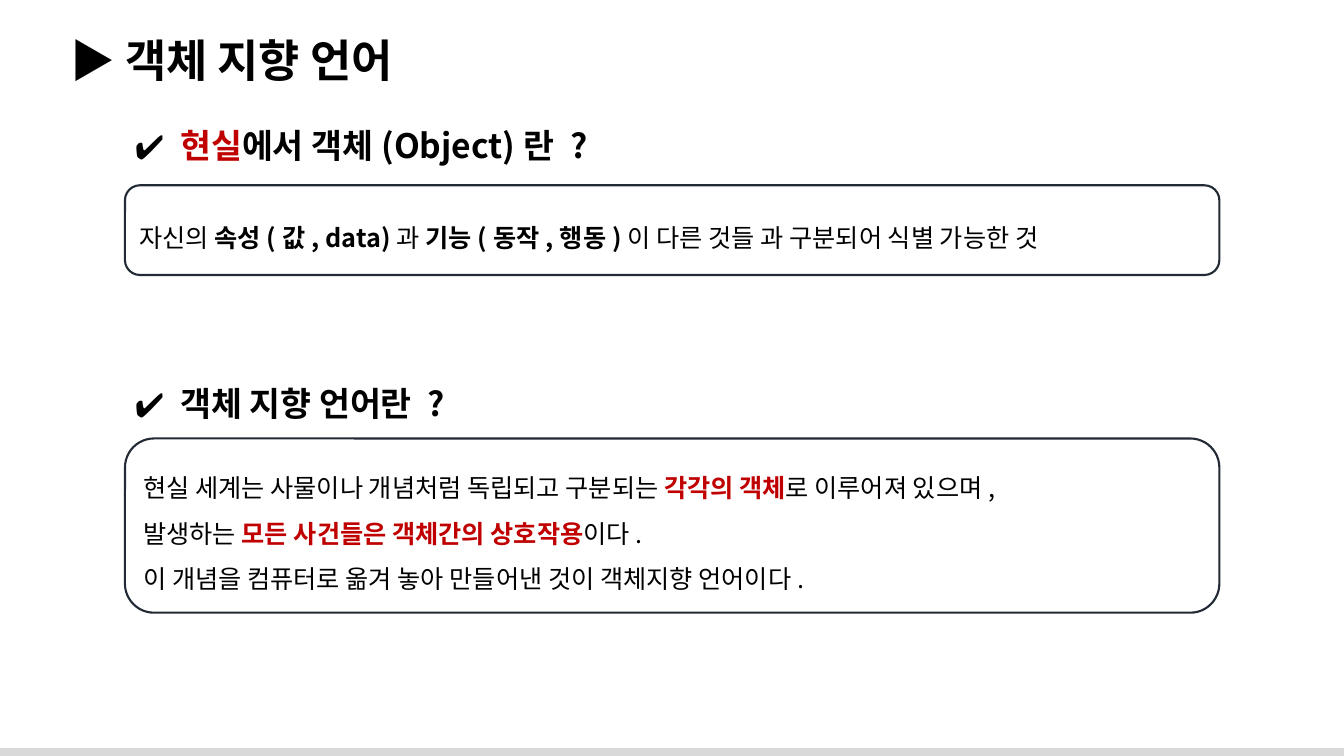
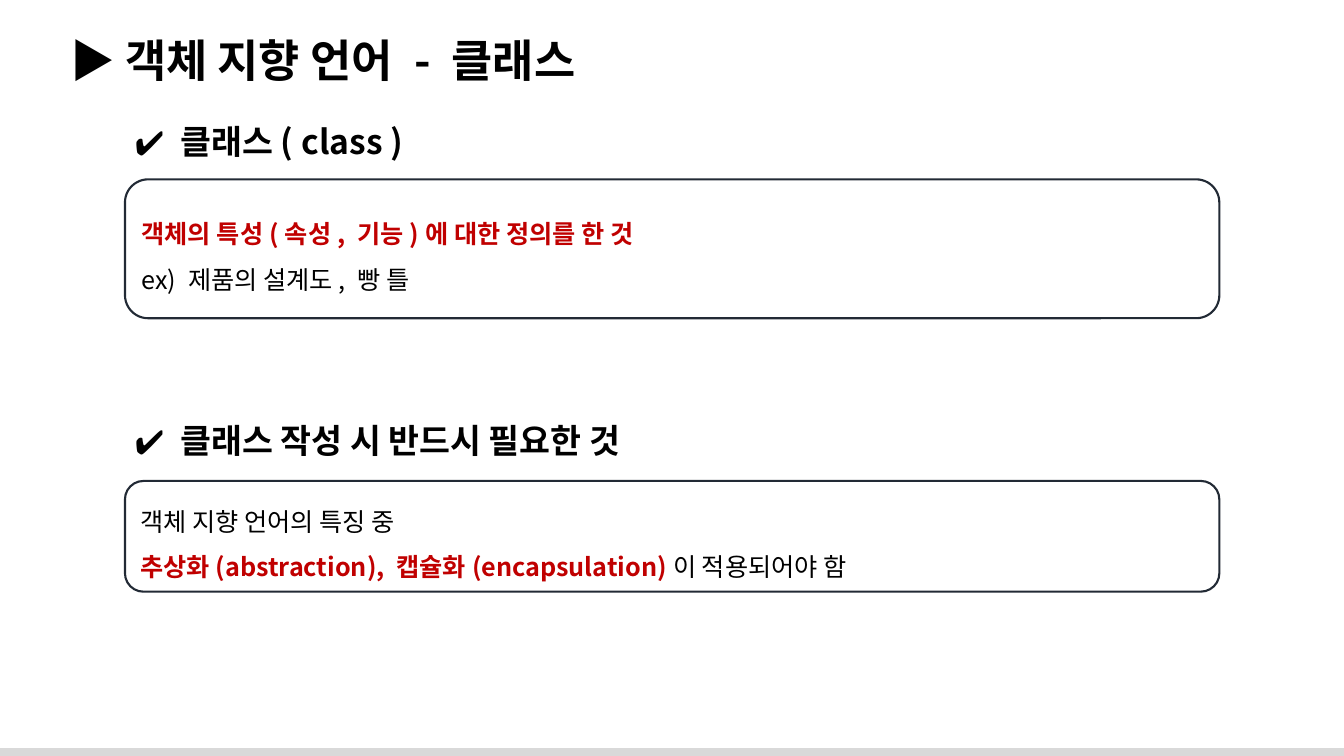
"""Build two slides on object-oriented languages."""
from lxml import etree
from pptx import Presentation
from pptx.dml.color import RGBColor
from pptx.enum.shapes import MSO_SHAPE
from pptx.enum.text import MSO_ANCHOR, PP_ALIGN
from pptx.oxml.ns import qn
from pptx.util import Cm, Pt

RECT = MSO_SHAPE.RECTANGLE
ROUND = MSO_SHAPE.ROUNDED_RECTANGLE
TOP, MIDDLE = MSO_ANCHOR.TOP, MSO_ANCHOR.MIDDLE
LEFT = PP_ALIGN.LEFT
FONT = "Noto Sans CJK KR"
COLORS = {"black": "000000", "red": "C00000", "line": "222A35", "band": "D9D9D9"}
WIDE, HIGH = 33.87, 19.05
EDGE, SPAN = 3.15, 27.58

SLIDES = [
    ("▶ 객체 지향 언어", [
        {"top": 3.02, "width": 12.32,
         "head": [" ", ("현실", "red"), "에서 객체(Object)란 ?"],
         "gap": 1.65, "height": 2.26,
         "body": [["자신의 ", ("속성(값, data)", "black"), "과 ",
                   ("기능(동작,행동)", "black"),
                   "이 다른 것들 과 구분되어 식별 가능한 것"]]},
        {"top": 9.53, "width": 9.07, "head": [" 객체 지향 언어란 ?"],
         "gap": 1.52, "height": 4.39,
         "body": [["현실 세계는 사물이나 개념처럼 독립되고 구분되는 ",
                   ("각각의 객체", "red"), "로 이루어져 있으며,"],
                  ["발생하는 ", ("모든 사건들은 객체간의 상호작용", "red"), "이다."],
                  ["이 개념을 컴퓨터로 옮겨 놓아 만들어낸 것이 객체지향 언어이다."]]},
    ]),
    ("▶ 객체 지향 언어 - 클래스", [
        {"top": 2.92, "width": 7.47, "head": [" 클래스( class )"],
         "gap": 1.6, "height": 3.5,
         "body": [[("객체의 특성(속성, 기능)에 대한 정의를 한 것", "red")],
                  ["ex) 제품의 설계도, 빵 틀"]]},
        {"top": 10.46, "width": 14.4, "head": [" 클래스 작성 시 반드시 필요한 것"],
         "gap": 1.66, "height": 2.79,
         "body": [["객체 지향 언어의 특징 중"],
                  [("추상화(abstraction), 캡슐화(encapsulation)", "red"),
                   "이 적용되어야 함"]]},
    ]),
]


def shade(name):
    """Return the named colour."""
    return RGBColor.from_string(COLORS[name])


def mark(para):
    """Give a paragraph a hanging check mark."""
    props = para._p.get_or_add_pPr()
    props.set("marL", str(Cm(0.95)))
    props.set("indent", str(-Cm(0.95)))
    color = etree.SubElement(props, qn("a:buClr"))
    etree.SubElement(color, qn("a:srgbClr"), val=COLORS["black"])
    etree.SubElement(props, qn("a:buFont"), typeface=FONT)
    etree.SubElement(props, qn("a:buChar"), char="✔")


def write(shape, lines, size=18, bold=False, space=1.0, anchor=TOP, check=False):
    """Fill a shape with lines of plain runs and bold (text, colour) runs."""
    frame = shape.text_frame
    frame.word_wrap = True
    frame.vertical_anchor = anchor
    for index, line in enumerate(lines):
        para = frame.add_paragraph() if index else frame.paragraphs[0]
        para.alignment = LEFT
        para.line_spacing = space
        if check:
            mark(para)
        for part in line:
            plain = isinstance(part, str)
            text, color = (part, "black") if plain else part
            run = para.add_run()
            run.text = text
            run.font.size = Pt(size)
            run.font.bold = bold or not plain
            run.font.color.rgb = shade(color)
            run.font.name = FONT
            etree.SubElement(run._r.get_or_add_rPr(), qn("a:ea"), typeface=FONT)


def label(slide, left, top, width, height, line, **style):
    """Add a one-line bold text box."""
    box = slide.shapes.add_textbox(Cm(left), Cm(top), Cm(width), Cm(height))
    write(box, [line], bold=True, **style)


def frame(slide, title):
    """Add the foot band and the title."""
    band = slide.shapes.add_shape(RECT, 0, Cm(HIGH - 0.2), Cm(WIDE), Cm(0.2))
    band.shadow.inherit = False
    band.fill.solid()
    band.fill.fore_color.rgb = shade("band")
    band.line.fill.background()
    label(slide, 1.52, 0.71, 32, 1.63, [title], size=32)


def panel(slide, top, width, head, gap, height, body):
    """Add a checked heading with its round box below."""
    label(slide, EDGE, top, width, 1.27, head, size=24, check=True)
    box = slide.shapes.add_shape(ROUND, Cm(EDGE), Cm(top + gap), Cm(SPAN), Cm(height))
    box.shadow.inherit = False
    box.fill.background()
    box.line.color.rgb = shade("line")
    box.line.width = Pt(1.5)
    write(box, body, space=1.5, anchor=MIDDLE)


def main():
    """Build and save the deck."""
    deck = Presentation()
    deck.slide_width, deck.slide_height = Cm(WIDE), Cm(HIGH)
    for title, panels in SLIDES:
        slide = deck.slides.add_slide(deck.slide_layouts[6])
        frame(slide, title)
        for item in panels:
            panel(slide, **item)
    deck.save("out.pptx")


if __name__ == "__main__":
    main()
